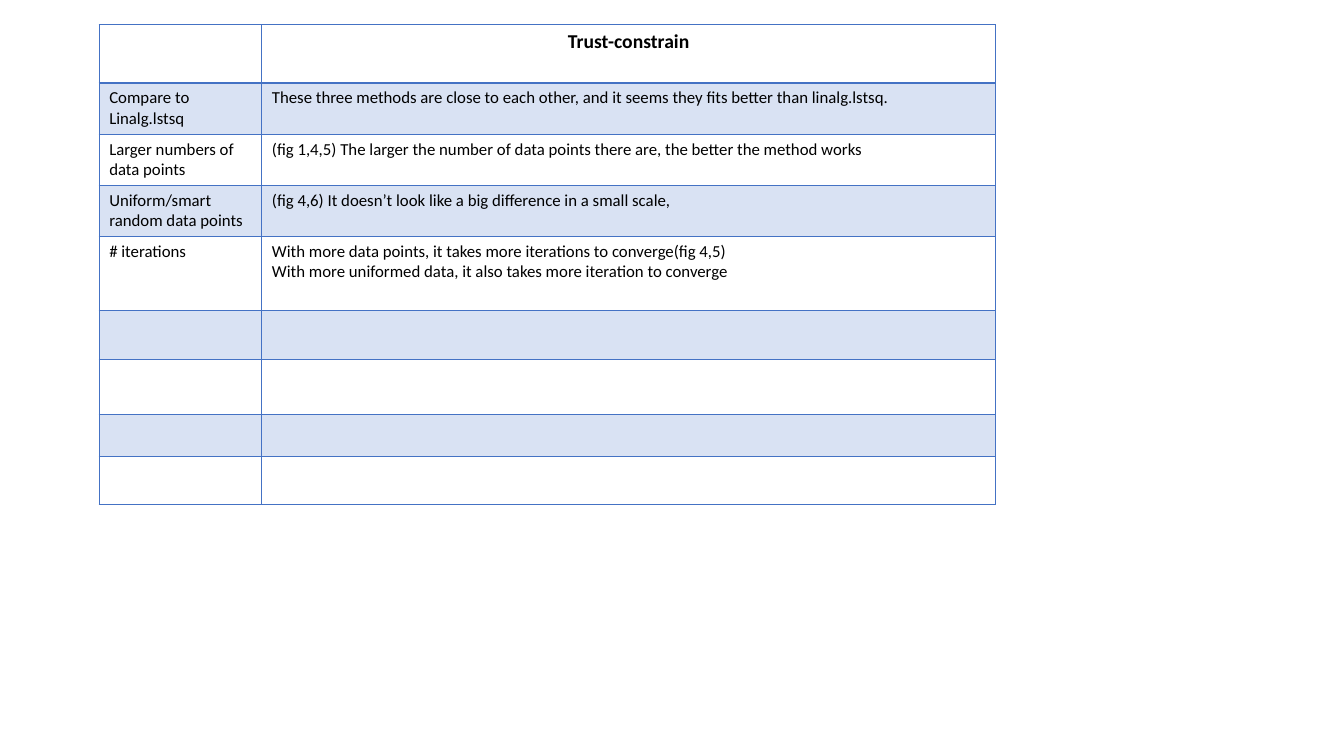
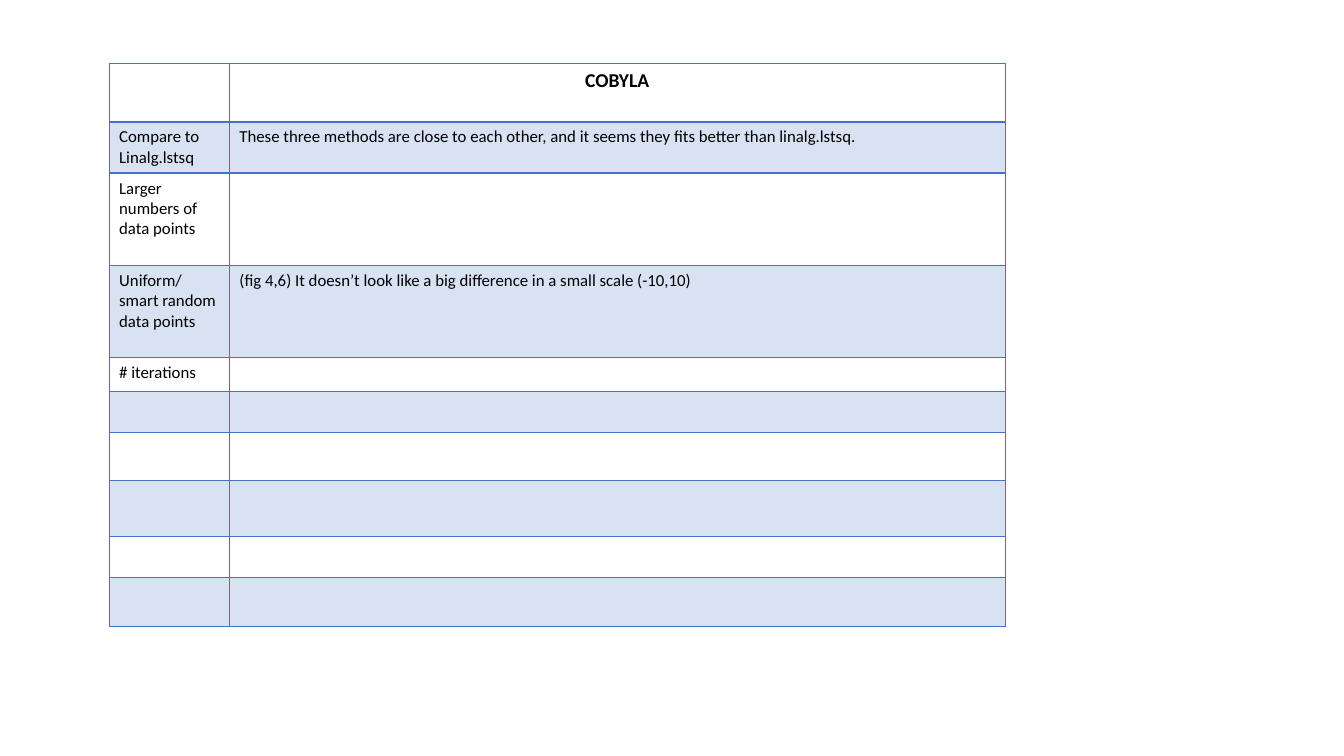
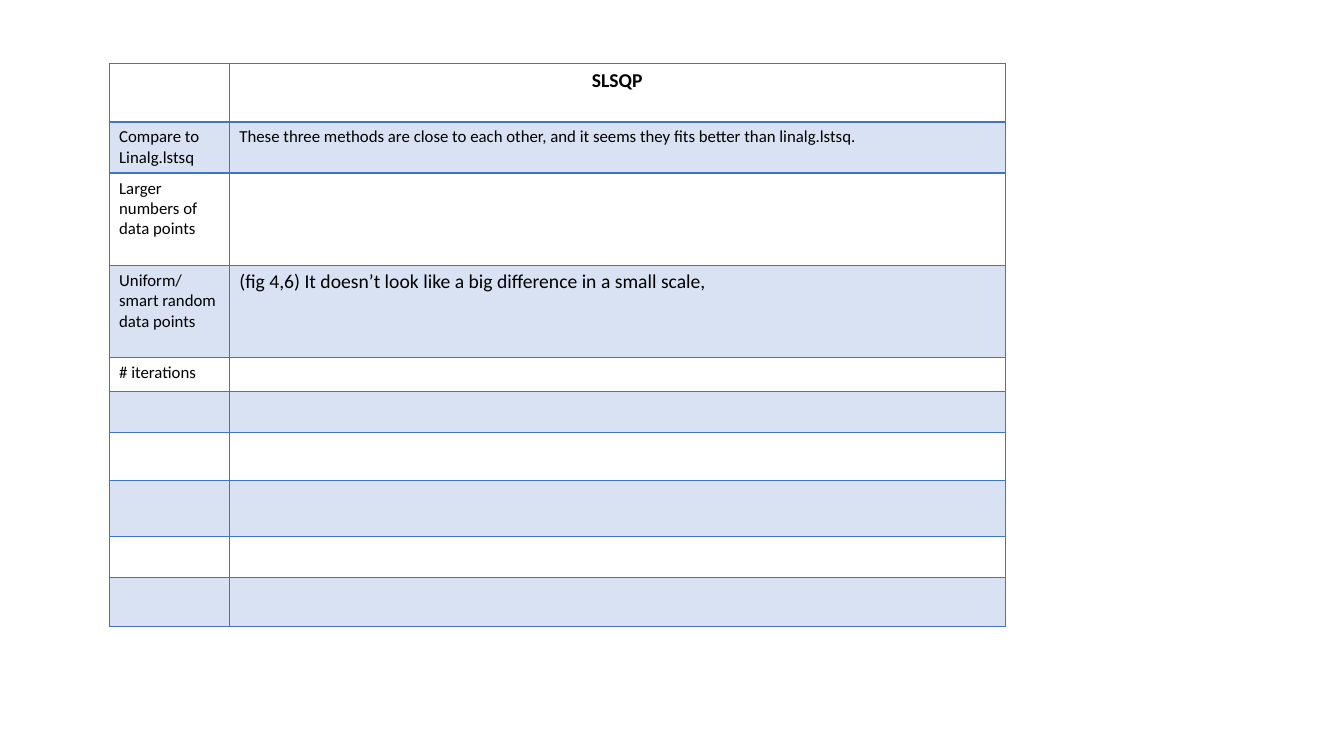
from lxml import etree
from pptx import Presentation
from pptx.dml.color import RGBColor
from pptx.enum.text import PP_ALIGN
from pptx.oxml.ns import qn
from pptx.util import Cm, Pt

CENTER, LEFT = PP_ALIGN.CENTER, PP_ALIGN.LEFT

# Shared style
COLORS = {"accent": "4472C4", "text": "000000"}
FONT = "Calibri"
HEADER_SIZE, BODY_SIZE = 14, 12
BAND_ALPHA = 20
GRID_WIDTH, HEADER_RULE = 1, 2
BLANK_LAYOUT = 6

# Wording shared by the comparison tables
ASPECTS = [
    "Compare to Linalg.lstsq",
    "Larger numbers of data points",
    "Uniform/smart random data points",
    "# iterations",
]
CLOSE_FIT = ("These three methods are close to each other, "
             "and it seems they fits better than linalg.lstsq.")
SMALL_SCALE = "(fig 4,6) It doesn’t look like a big difference in a small scale"


class Deck:
    def __init__(self):
        self.prs = Presentation()
        self.prs.slide_width, self.prs.slide_height = Cm(33.87), Cm(19.05)
        self.slide = None

    def new_slide(self):
        layout = self.prs.slide_layouts[BLANK_LAYOUT]
        self.slide = self.prs.slides.add_slide(layout)

    def cell_text(self, cell, lines, size, bold=False, align=LEFT):
        frame = cell.text_frame
        for i, line in enumerate(lines):
            paragraph = frame.add_paragraph() if i else frame.paragraphs[0]
            paragraph.alignment = align
            run = paragraph.add_run()
            run.text = line
            run.font.name, run.font.size, run.font.bold = FONT, Pt(size), bold
            run.font.color.rgb = RGBColor.from_string(COLORS["text"])
        if not lines:
            # Keeps an empty cell from stretching its row
            etree.SubElement(frame.paragraphs[0]._p, qn("a:endParaRPr"),
                             sz=str(size * 100))

    def fill(self, cell, banded):
        if not banded:
            cell.fill.background()
            return
        cell.fill.solid()
        cell.fill.fore_color.rgb = RGBColor.from_string(COLORS["accent"])
        color = cell._tc.tcPr.find(f".//{qn('a:srgbClr')}")
        etree.SubElement(color, qn("a:alpha"), val=str(BAND_ALPHA * 1000))

    def borders(self, cell, row):
        widths = {
            "L": GRID_WIDTH,
            "R": GRID_WIDTH,
            "T": HEADER_RULE if row == 1 else GRID_WIDTH,
            "B": HEADER_RULE if row == 0 else GRID_WIDTH,
        }
        properties = cell._tc.get_or_add_tcPr()
        for position, (side, width) in enumerate(widths.items()):
            line = etree.Element(qn(f"a:ln{side}"), w=str(Pt(width)))
            solid = etree.SubElement(line, qn("a:solidFill"))
            etree.SubElement(solid, qn("a:srgbClr"), val=COLORS["accent"])
            properties.insert(position, line)

    def comparison(self, method, findings, left, top, widths, heights,
                   sizes=None):
        """Draw one method's table; sizes overrides a finding's text size."""
        self.new_slide()
        table = self.slide.shapes.add_table(
            len(heights), len(widths), Cm(left), Cm(top),
            Cm(sum(widths)), Cm(sum(heights))).table
        table.first_row = table.horz_banding = False
        for column, width in zip(table.columns, widths):
            column.width = Cm(width)
        for row, height in zip(table.rows, heights):
            row.height = Cm(height)

        # Header, then one row for each aspect
        self.cell_text(table.cell(0, 0), [], HEADER_SIZE)
        self.cell_text(table.cell(0, 1), [method], HEADER_SIZE, True, CENTER)
        for row in range(1, len(heights)):
            aspect = ASPECTS[row - 1:row]
            lines = findings.get(row, [])
            size = (sizes or {}).get(row, BODY_SIZE)
            self.cell_text(table.cell(row, 0), aspect, BODY_SIZE)
            self.cell_text(table.cell(row, 1), lines, size)

        # Banding and grid
        for row in range(len(heights)):
            for col in range(len(widths)):
                cell = table.cell(row, col)
                self.fill(cell, banded=row % 2 == 1)
                self.borders(cell, row)


deck = Deck()

# Trust-constrain
deck.comparison(
    "Trust-constrain",
    {
        1: [CLOSE_FIT],
        2: ["(fig 1,4,5) The larger the number of data points there are, "
            "the better the method works"],
        3: [SMALL_SCALE + ","],
        4: ["With more data points, it takes more iterations to "
            "converge(fig 4,5)",
            "With more uniformed data, it also takes more iteration to "
            "converge"],
    },
    left=2.5, top=0.62, widths=[4.1, 18.49],
    heights=[1.47, 1.29, 1.29, 1.29, 1.87, 1.22, 1.4, 1.05, 1.22])

# COBYLA and SLSQP share one layout
NARROW_LABELS = {
    "left": 2.75, "top": 1.6, "widths": [3.03, 19.55],
    "heights": [1.47, 1.29, 2.32, 2.32, 0.86, 1.03, 1.22, 1.4, 1.05, 1.22],
}
deck.comparison("COBYLA", {1: [CLOSE_FIT], 3: [SMALL_SCALE + " (-10,10)"]},
                **NARROW_LABELS)
deck.comparison("SLSQP", {1: [CLOSE_FIT], 3: [SMALL_SCALE + ","]},
                sizes={3: 14}, **NARROW_LABELS)

deck.prs.save("out.pptx")
